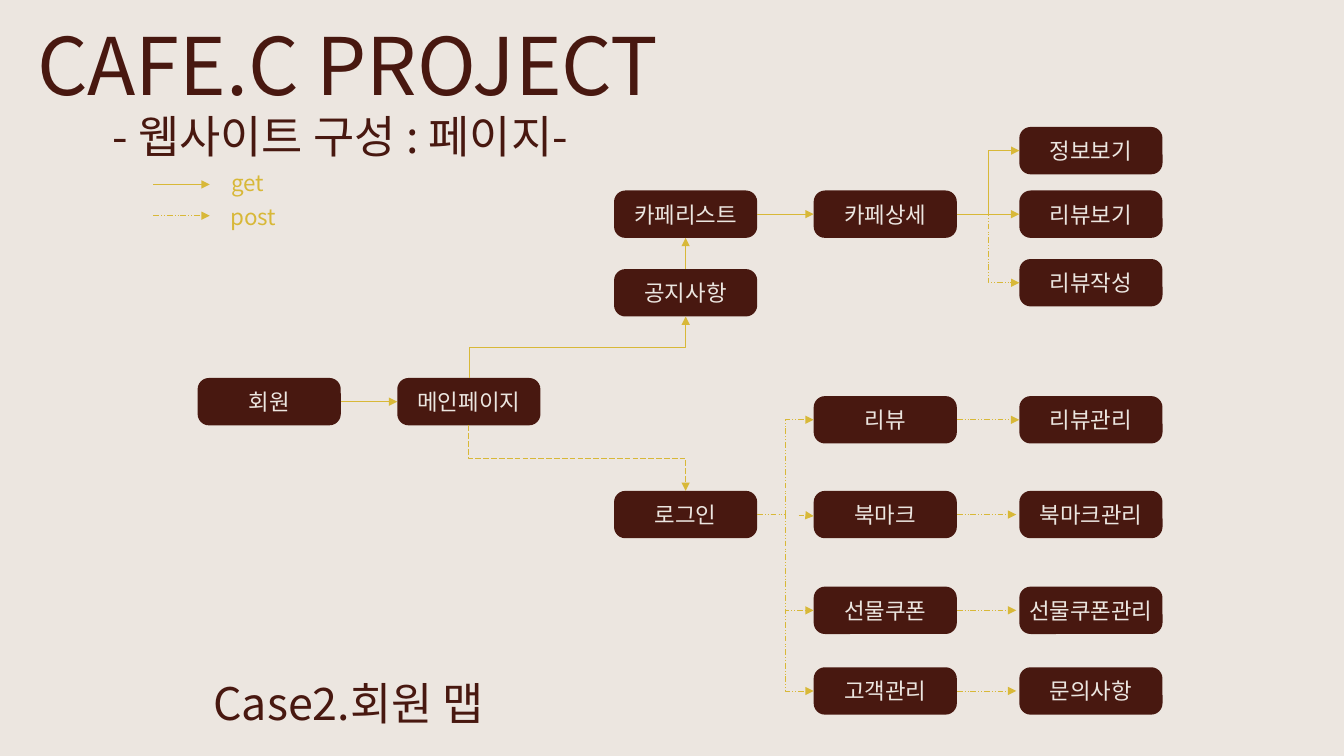
"""Builds the member site map slide of the CAFE.C project."""
from lxml import etree
from pptx import Presentation
from pptx.dml.color import RGBColor
from pptx.enum.dml import MSO_LINE
from pptx.enum.shapes import MSO_CONNECTOR, MSO_SHAPE
from pptx.enum.text import MSO_ANCHOR, MSO_AUTO_SIZE, PP_ALIGN
from pptx.oxml.ns import qn
from pptx.util import Inches, Pt

STRAIGHT, ELBOW = MSO_CONNECTOR.STRAIGHT, MSO_CONNECTOR.ELBOW
POST, LOGIN = MSO_LINE.DASH_DOT_DOT, MSO_LINE.LONG_DASH
TOP, MIDDLE = MSO_ANCHOR.TOP, MSO_ANCHOR.MIDDLE
ROUNDED = MSO_SHAPE.ROUNDED_RECTANGLE
CENTER = PP_ALIGN.CENTER
NO_AUTOFIT = MSO_AUTO_SIZE.NONE

COLORS = {"cream": "ECE6E0", "brown": "481810", "gold": "D8B838"}
FONT = "Noto Sans CJK KR"
W, H = 1.42, 0.47

prs = Presentation()
prs.slide_width, prs.slide_height = Inches(13.33), Inches(7.5)
s = prs.slides.add_slide(prs.slide_layouts[5])
s.background.fill.solid()
s.background.fill.fore_color.rgb = RGBColor.from_string(COLORS["cream"])


def write(sp, text, size=16, color="cream", anchor=MIDDLE, wrap=False, spacing=None):
    tf = sp.text_frame
    tf.auto_size = NO_AUTOFIT
    tf.word_wrap = wrap
    tf.vertical_anchor = anchor
    tf.margin_left = tf.margin_right = tf.margin_top = tf.margin_bottom = 0
    p = tf.paragraphs[0]
    p.alignment = CENTER
    if spacing:
        p.line_spacing = Pt(spacing)
    r = p.add_run()
    r.text = text
    r.font.size = Pt(size)
    r.font.color.rgb = RGBColor.from_string(COLORS[color])
    r.font.name = FONT
    etree.SubElement(r.font._element, qn("a:ea"), typeface=FONT)


def arrow(x1, y1, x2, y2, dash=None, upright=False):
    kind = STRAIGHT if x1 == x2 or y1 == y2 else ELBOW
    if upright:
        cx, cy = (x1 + x2) / 2, (y1 + y2) / 2
        x1, y1, x2, y2 = cx + y1 - cy, cy + cx - x1, cx + y2 - cy, cy + cx - x2
    c = s.shapes.add_connector(kind, Inches(x1), Inches(y1), Inches(x2), Inches(y2))
    c.line.color.rgb = RGBColor.from_string(COLORS["gold"])
    c.line.width = Pt(0.5)
    if dash:
        c.line.dash_style = dash
    spPr = c._element.spPr
    if upright:
        spPr.find(qn("a:xfrm")).set("rot", "5400000")
    etree.SubElement(spPr.find(qn("a:ln")), qn("a:tailEnd"), type="triangle")
    etree.SubElement(spPr, qn("a:effectLst"))


title = s.shapes.title
title.left, title.top = Inches(0), Inches(0.24)
title.width, title.height = Inches(6.9), Inches(0.88)
write(title, "CAFE.C PROJECT", size=56.7, color="brown", anchor=TOP, wrap=True, spacing=62.3)

captions = [
    ("- 웹사이트 구성 : 페이지-", 0, 0.75, 6.75, 0.78, 32, "brown", TOP, 62.3),
    ("Case2.회원 맵", 1.8, 6.37, 3.32, 0.78, 32, "brown", TOP, 62.3),
    ("get", 1.75, 1.63, W, 0.37, 16, "gold", MIDDLE, None),
    ("post", 1.8, 1.96, W, 0.37, 16, "gold", MIDDLE, None),
]
for text, x, y, w, h, size, color, anchor, spacing in captions:
    tb = s.shapes.add_textbox(Inches(x), Inches(y), Inches(w), Inches(h))
    write(tb, text, size=size, color=color, anchor=anchor, wrap=True, spacing=spacing)

columns = {
    1.96: [("회원", 3.75)],
    3.94: [("메인페이지", 3.75)],
    6.09: [("카페리스트", 1.89), ("공지사항", 2.67), ("로그인", 4.87)],
    8.07: [("카페상세", 1.89), ("리뷰", 3.93), ("북마크", 4.87),
           ("선물쿠폰", 5.82), ("고객관리", 6.62)],
    10.11: [("정보보기", 1.26), ("리뷰보기", 1.89), ("리뷰작성", 2.57), ("리뷰관리", 3.93),
            ("북마크관리", 4.87), ("선물쿠폰관리", 5.82), ("문의사항", 6.62)],
}
pages = {}
for x, column in columns.items():
    for name, y in column:
        pages[name] = (x, y)
        sp = s.shapes.add_shape(ROUNDED, Inches(x), Inches(y), Inches(W), Inches(H))
        sp.adjustments[0] = 0.238
        sp.shadow.inherit = False
        sp.fill.solid()
        sp.fill.fore_color.rgb = RGBColor.from_string(COLORS["brown"])
        sp.line.fill.background()
        write(sp, name)

side_links = [
    ("회원", "메인페이지", None, 0),
    ("카페리스트", "카페상세", None, 0),
    ("카페상세", "정보보기", None, 0),
    ("카페상세", "리뷰보기", None, 0),
    ("카페상세", "리뷰작성", POST, 0),
    ("로그인", "리뷰", POST, 0),
    ("로그인", "선물쿠폰", POST, 0),
    ("로그인", "고객관리", POST, 0),
    ("리뷰", "리뷰관리", POST, 0),
    ("북마크", "북마크관리", POST, 0.03),
    ("선물쿠폰", "선물쿠폰관리", POST, 0.03),
    ("고객관리", "문의사항", POST, 0.03),
]
for start, end, dash, gap in side_links:
    (x1, y1), (x2, y2) = pages[start], pages[end]
    arrow(x1 + W, y1 + H / 2, x2 - gap, y2 + H / 2, dash)

main_x, main_y = pages["메인페이지"]
notice_x, notice_y = pages["공지사항"]
list_y, login_y = pages["카페리스트"][1], pages["로그인"][1]
main_mid, notice_mid = main_x + W / 2, notice_x + W / 2
arrow(main_mid, main_y, notice_mid, notice_y + H, upright=True)
arrow(main_mid, main_y + H, notice_mid, login_y, LOGIN, upright=True)
arrow(notice_mid, notice_y, notice_mid, list_y + H)
arrow(7.92, 5.11, 8.07, 5.12, POST)

for y, dash in [(1.83, None), (2.14, POST)]:
    arrow(1.52, y, 2.08, y, dash)

prs.save("out.pptx")
